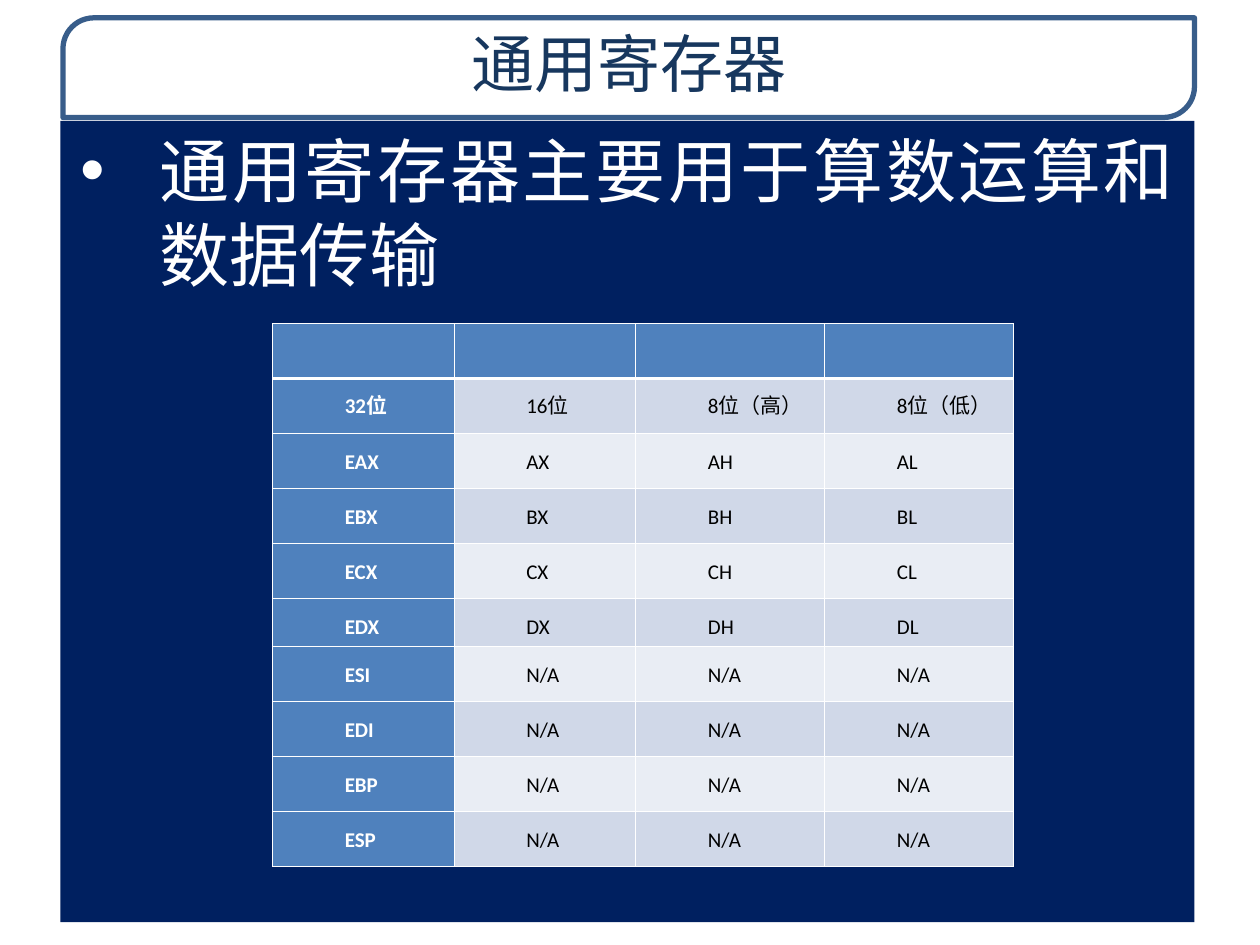
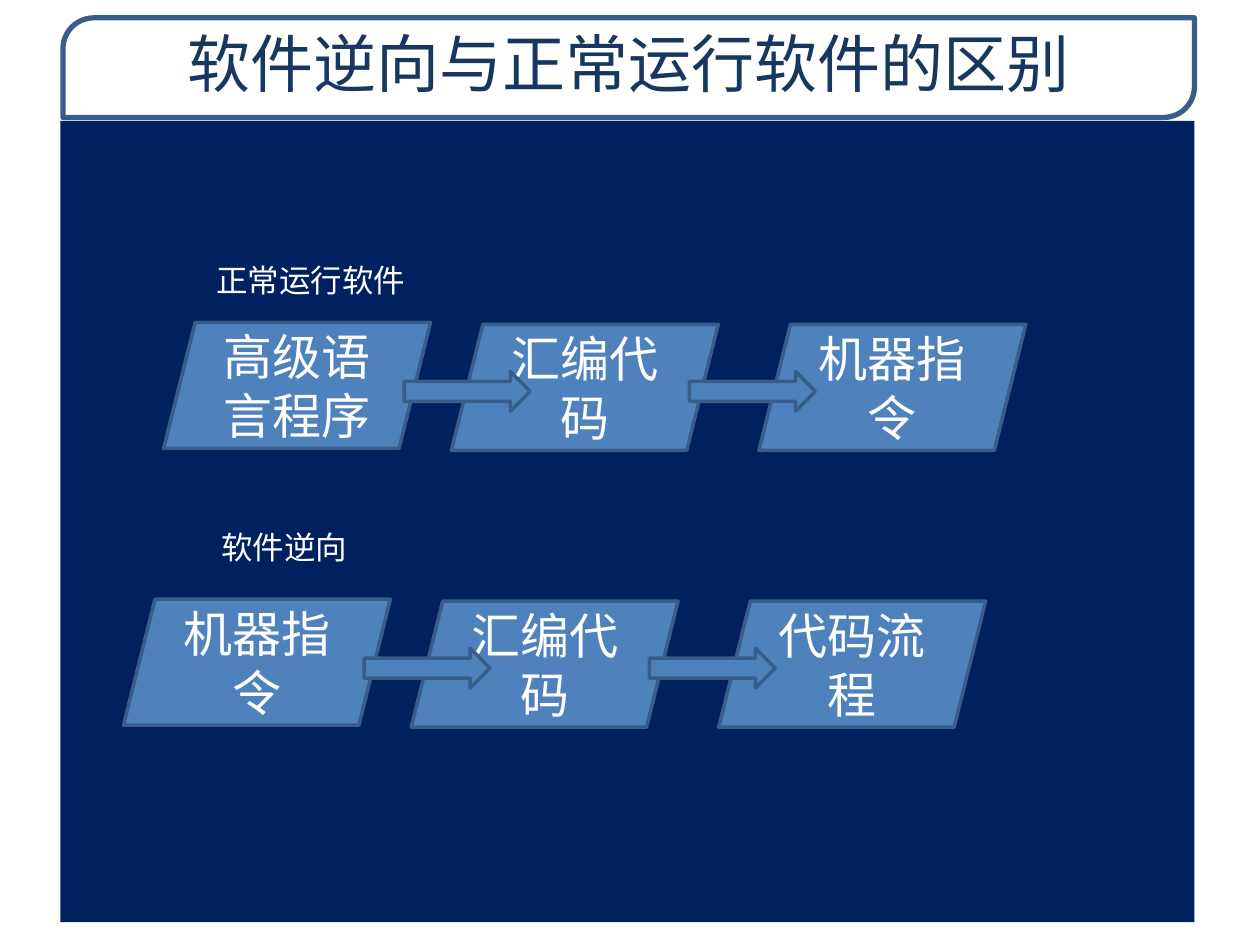
"""Build two slides on general registers and software reversing."""
from typing import NamedTuple

from lxml import etree
from pptx import Presentation
from pptx.dml.color import RGBColor
from pptx.enum.shapes import MSO_SHAPE
from pptx.enum.text import MSO_ANCHOR, PP_ALIGN
from pptx.oxml.ns import qn
from pptx.util import Cm, Pt

NAVY = RGBColor(0x00, 0x20, 0x60)
TITLE_BLUE = RGBColor(0x17, 0x37, 0x5E)
BLUE = RGBColor(0x4F, 0x81, 0xBD)
OUTLINE = RGBColor(0x38, 0x5D, 0x8A)
WHITE = RGBColor(0xFF, 0xFF, 0xFF)
BLACK = RGBColor(0x00, 0x00, 0x00)
ROW_DARK = RGBColor(0xD0, 0xD8, 0xE8)
ROW_LIGHT = RGBColor(0xE9, 0xED, 0xF4)

RECTANGLE = MSO_SHAPE.RECTANGLE
TITLE_FRAME = MSO_SHAPE.ROUND_2_DIAG_RECTANGLE
PARALLELOGRAM = MSO_SHAPE.PARALLELOGRAM
ARROW = MSO_SHAPE.RIGHT_ARROW
LEFT, CENTER, JUSTIFY = PP_ALIGN.LEFT, PP_ALIGN.CENTER, PP_ALIGN.JUSTIFY
TOP, MIDDLE = MSO_ANCHOR.TOP, MSO_ANCHOR.MIDDLE

CJK_FONT = "Noto Sans CJK SC"
TITLE_FONT = {"name": CJK_FONT, "size": Pt(36)}
BULLET_FONT = {"name": CJK_FONT, "size": Pt(40)}
STEP_FONT = {"name": "Calibri", "size": Pt(28)}
LABEL_FONT = {"name": "Arial", "size": Pt(18)}
CELL_FONT = {"name": "Calibri", "size": Pt(12)}


class Box(NamedTuple):
    """A rectangle in centimetres."""

    left: float
    top: float
    width: float
    height: float

    def inner(self, dx, dy, width, height):
        """Return a box placed relative to this one."""
        return Box(self.left + dx, self.top + dy, width, height)

    def lengths(self):
        """Return the four lengths for python-pptx."""
        return [Cm(value) for value in self]


FRAME = Box(1.27, 0.36, 22.81, 2.01)
PANEL = Box(1.22, 2.44, 22.86, 16.15)

REGISTERS = [
    ("32位", "16位", "8位（高）", "8位（低）"),
    *[(f"E{x}X", f"{x}X", f"{x}H", f"{x}L") for x in "ABCD"],
    *[(name, "N/A", "N/A", "N/A") for name in ("ESI", "EDI", "EBP", "ESP")],
]
COLUMN_WIDTHS = (3.66, 3.66, 3.81, 3.81)
ROW_HEIGHT = 1.11
SHORT_ROW = 5
SHORT_HEIGHT = 0.74

STEP_OFFSETS = ((0, 0), (5.8, 0.04), (12, 0.04))
ARROW_OFFSETS = (4.85, 10.6)


def write(frame, text, font, color, align=LEFT, anchor=TOP, wrap=True):
    """Write one formatted paragraph and return it."""
    for key, value in {"word_wrap": wrap, "vertical_anchor": anchor}.items():
        setattr(frame, key, value)
    paragraph = frame.paragraphs[0]
    paragraph.alignment = align
    run = paragraph.add_run()
    run.text = text
    for key, value in font.items():
        setattr(run.font, key, value)
    run.font.color.rgb = color
    etree.SubElement(run.font._element, qn("a:ea"), typeface=CJK_FONT)
    return paragraph


def indent(paragraph, margin, first=0):
    """Set the left margin and first-line indent in centimetres."""
    properties = paragraph._p.get_or_add_pPr()
    properties.set("marL", str(Cm(margin)))
    properties.set("indent", str(Cm(first)))
    return properties


def add_block(slide, kind, box, fill, line_width=0):
    """Add a filled preset shape, outlined when a line width is given."""
    block = slide.shapes.add_shape(kind, *box.lengths())
    block.shadow.inherit = False
    block.fill.solid()
    block.fill.fore_color.rgb = fill
    if line_width:
        block.line.color.rgb = OUTLINE
        block.line.width = Pt(line_width)
    else:
        block.line.fill.background()
    return block


def add_base(prs, title):
    """Add a slide with the title frame and the navy panel."""
    slide = prs.slides.add_slide(prs.slide_layouts[6])
    frame = add_block(slide, TITLE_FRAME, FRAME, WHITE, 3)
    frame.adjustments[0] = 0.31
    color = frame.fill._xPr.find(qn("a:solidFill"))[0]
    etree.SubElement(color, qn("a:alpha"), val="85000")
    heading = slide.shapes.add_textbox(*FRAME.lengths())
    write(heading.text_frame, title, TITLE_FONT, TITLE_BLUE, CENTER)
    return slide, add_block(slide, RECTANGLE, PANEL, NAVY)


def add_bullet(panel, text):
    """Write the bulleted statement at the top of the panel."""
    frame = panel.text_frame
    frame.margin_left = frame.margin_right = Cm(0.4)
    paragraph = write(frame, text, BULLET_FONT, WHITE, JUSTIFY)
    properties = indent(paragraph, 1.6, -1.6)
    color = etree.SubElement(properties, qn("a:buClr"))
    etree.SubElement(color, qn("a:srgbClr"), val=str(WHITE))
    etree.SubElement(properties, qn("a:buFont"), typeface="Arial")
    etree.SubElement(properties, qn("a:buChar"), char="•")


def set_borders(cell, widths):
    """Draw white borders of the given widths, keyed by side."""
    properties = cell._tc.get_or_add_tcPr()
    for position, side in enumerate("LRTB"):
        line = etree.Element(qn(f"a:ln{side}"), w=str(Pt(widths.get(side, 0.45))))
        fill = etree.SubElement(line, qn("a:solidFill"))
        etree.SubElement(fill, qn("a:srgbClr"), val=str(WHITE))
        properties.insert(position, line)


def add_register_table(slide, box):
    """Add the register table with an empty header row."""
    rows = [("",) * len(COLUMN_WIDTHS), *REGISTERS]
    table = slide.shapes.add_table(len(rows), len(COLUMN_WIDTHS), *box.lengths()).table
    for column, width in zip(table.columns, COLUMN_WIDTHS):
        column.width = Cm(width)
    for r, names in enumerate(rows):
        table.rows[r].height = Cm(SHORT_HEIGHT if r == SHORT_ROW else ROW_HEIGHT)
        for c, name in enumerate(names):
            cell = table.cell(r, c)
            heading = r == 0 or c == 0
            cell.fill.solid()
            cell.fill.fore_color.rgb = BLUE if heading else ROW_DARK if r % 2 else ROW_LIGHT
            cell.margin_left = cell.margin_right = Cm(0.19)
            set_borders(cell, {0: {"B": 1.47}, 1: {"T": 1.47}}.get(r, {}))
            if name:
                font = {**CELL_FONT, "bold": heading}
                color = WHITE if heading else BLACK
                paragraph = write(cell.text_frame, name, font, color, JUSTIFY)
                paragraph.line_spacing = Pt(20)
                indent(paragraph, 1.27)


def add_flow(slide, box, steps):
    """Add three steps joined by two block arrows."""
    for (dx, dy), step in zip(STEP_OFFSETS, steps):
        block = add_block(slide, PARALLELOGRAM, box.inner(dx, dy, 5.38, 2.54), BLUE, 2)
        write(block.text_frame, step, STEP_FONT, WHITE, CENTER, MIDDLE)
    for dx in ARROW_OFFSETS:
        add_block(slide, ARROW, box.inner(dx, 0.99, 2.54, 0.8), BLUE, 2)


def add_label(slide, box, text):
    """Add the caption above a flow."""
    label = slide.shapes.add_textbox(*box.lengths())
    write(label.text_frame, text, LABEL_FONT, WHITE, wrap=False)


def build_registers(prs):
    """Build the general register slide."""
    slide, panel = add_base(prs, "通用寄存器")
    add_bullet(panel, "通用寄存器主要用于算数运算和数据传输")
    add_register_table(slide, PANEL.inner(4.27, 4.08, 14.94, 10.73))


def build_comparison(prs):
    """Build the slide comparing running and reversing software."""
    slide, _ = add_base(prs, "软件逆向与正常运行软件的区别")
    reversing = PANEL.inner(1.27, 9.64, 17.38, 2.58)
    running = PANEL.inner(2.08, 4.06, 17.38, 2.58)
    add_flow(slide, reversing, ("机器指令", "汇编代码", "代码流程"))
    add_flow(slide, running, ("高级语言程序", "汇编代码", "机器指令"))
    add_label(slide, running.inner(0.81, -1.37, 4.32, 1.02), "正常运行软件")
    add_label(slide, reversing.inner(1.72, -1.57, 3.05, 1.02), "软件逆向")


def main():
    """Build and save the presentation."""
    prs = Presentation()
    prs.slide_width, prs.slide_height = Cm(25.4), Cm(19.05)
    build_registers(prs)
    build_comparison(prs)
    prs.save("out.pptx")


if __name__ == "__main__":
    main()
